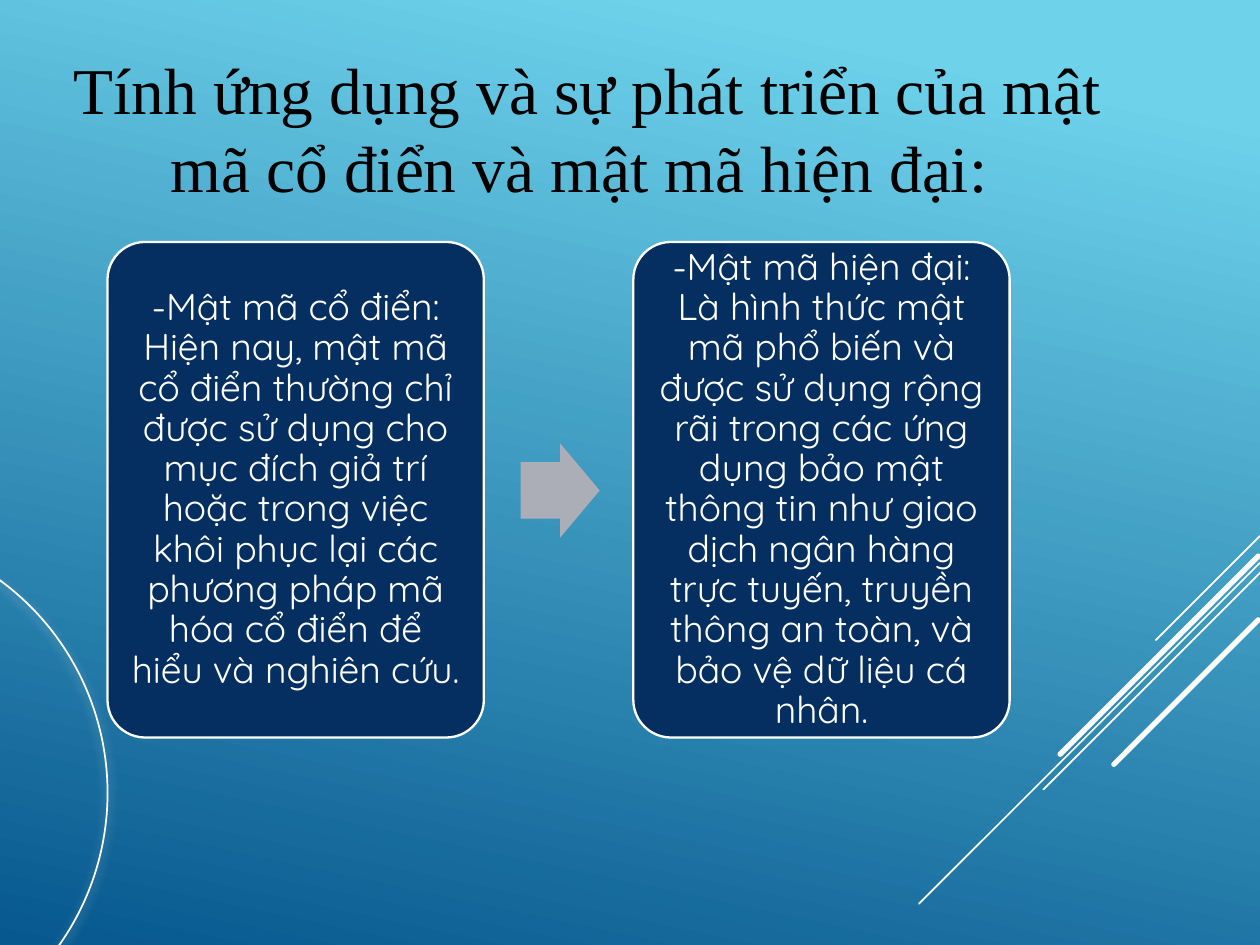
from lxml import etree
from pptx import Presentation
from pptx.dml.color import RGBColor
from pptx.enum.shapes import MSO_CONNECTOR, MSO_SHAPE
from pptx.enum.text import MSO_ANCHOR, PP_ALIGN
from pptx.oxml.ns import qn
from pptx.util import Inches, Pt

STRAIGHT = MSO_CONNECTOR.STRAIGHT
ROUND_RECT = MSO_SHAPE.ROUNDED_RECTANGLE
RIGHT_ARROW = MSO_SHAPE.RIGHT_ARROW
OVAL = MSO_SHAPE.OVAL
MIDDLE = MSO_ANCHOR.MIDDLE
CENTER = PP_ALIGN.CENTER

COLORS = {
    "sky": "6ED2EB",
    "deep": "06588E",
    "navy": "052F61",
    "gray": "ABADB7",
    "white": "FFFFFF",
    "black": "000000",
}

TITLE = "Tính ứng dụng và sự phát triển của mật mã cổ điển và mật mã hiện đại: "
CLASSIC = (
    "-Mật mã cổ điển: Hiện nay, mật mã cổ điển thường chỉ được sử dụng cho "
    "mục đích giả trí hoặc trong việc khôi phục lại các phương pháp mã hóa "
    "cổ điển để hiểu và nghiên cứu."
)
MODERN = (
    "-Mật mã hiện đại: Là hình thức mật mã phổ biến và được sử dụng rộng rãi "
    "trong các ứng dụng bảo mật thông tin như giao dịch ngân hàng trực tuyến, "
    "truyền thông an toàn, và bảo vệ dữ liệu cá nhân."
)

# Diagonal lines: x1, y1, x2, y2, width in points
DIAGONALS = [
    (7.5, 3.19, 6.88, 3.81, 0.75),
    (7.5, 3.35, 5.47, 5.38, 0.75),
    (7.5, 3.41, 6.21, 4.7, 0.75),
    (7.49, 3.31, 6.31, 4.49, 2.25),
    (7.49, 3.69, 6.63, 4.55, 2.25),
]


def rgb(name):
    return RGBColor.from_string(COLORS[name])


def set_background(s):
    fill = s.background.fill
    fill.gradient()
    fill.gradient_angle = 258
    for stop, name, position in zip(fill.gradient_stops, ("sky", "deep"), (0.1, 1)):
        stop.color.rgb = rgb(name)
        stop.position = position


def add_diagonal(s, x1, y1, x2, y2, width):
    line = s.shapes.add_connector(STRAIGHT, Inches(x1), Inches(y1), Inches(x2), Inches(y2))
    line.line.color.rgb = rgb("white")
    line.line.width = Pt(width)
    line.line._get_or_add_ln().set("cap", "rnd")
    etree.SubElement(line._element.spPr, qn("a:effectLst"))


def add_plain_shape(s, kind, x, y, w, h, fill=None, line_width=None):
    sp = s.shapes.add_shape(kind, Inches(x), Inches(y), Inches(w), Inches(h))
    sp.shadow.inherit = False
    if fill:
        sp.fill.solid()
        sp.fill.fore_color.rgb = rgb(fill)
    else:
        sp.fill.background()
    if line_width:
        sp.line.color.rgb = rgb("white")
        sp.line.width = Pt(line_width)
    else:
        sp.line.fill.background()
    return sp


def set_text(sp, text, size, font, color, spacing=None):
    tf = sp.text_frame
    tf.word_wrap = True
    tf.vertical_anchor = MIDDLE
    tf.margin_left = tf.margin_right = tf.margin_top = tf.margin_bottom = Inches(0.07)
    p = tf.paragraphs[0]
    p.text = text
    p.alignment = CENTER
    p.line_spacing = spacing
    p.font.size = Pt(size)
    p.font.name = font
    p.font.color.rgb = rgb(color)


def add_card(s, x, text):
    card = add_plain_shape(s, ROUND_RECT, x, 1.44, 2.24, 2.95, "navy", 1)
    card.adjustments[0] = 0.1
    set_text(card, text, 16, "Quicksand", "white", 0.9)


def add_glow_circle(s):
    circle = add_plain_shape(s, OVAL, -2.5, 3.15, 3.14, 3.14, line_width=0.75)
    effects = circle._element.spPr.find(qn("a:effectLst"))
    shadow = etree.SubElement(
        effects, qn("a:outerShdw"), blurRad=str(Pt(4.5)), dist=str(Pt(1.5)),
        dir="5400000", rotWithShape="0")
    color = etree.SubElement(shadow, qn("a:srgbClr"), val=COLORS["white"])
    etree.SubElement(color, qn("a:alpha"), val="50000")


def add_title(s):
    box = s.shapes.add_textbox(Inches(0.2), Inches(0.38), Inches(6.59), Inches(0.76))
    set_text(box, TITLE, 28, "Times New Roman", "black")


def main():
    prs = Presentation()
    # 4:3 page
    prs.slide_width = Inches(7.5)
    prs.slide_height = Inches(7.5 * 3 / 4)
    s = prs.slides.add_slide(prs.slide_layouts[6])

    # Backdrop
    set_background(s)
    for diagonal in DIAGONALS:
        add_diagonal(s, *diagonal)

    # Classic to modern
    add_card(s, 0.64, CLASSIC)
    arrow = add_plain_shape(s, RIGHT_ARROW, 3.1, 2.64, 0.47, 0.56, "gray")
    arrow.adjustments[0] = 0.6
    add_card(s, 3.77, MODERN)

    # Circle and title
    add_glow_circle(s)
    add_title(s)

    prs.save("out.pptx")


if __name__ == "__main__":
    main()
